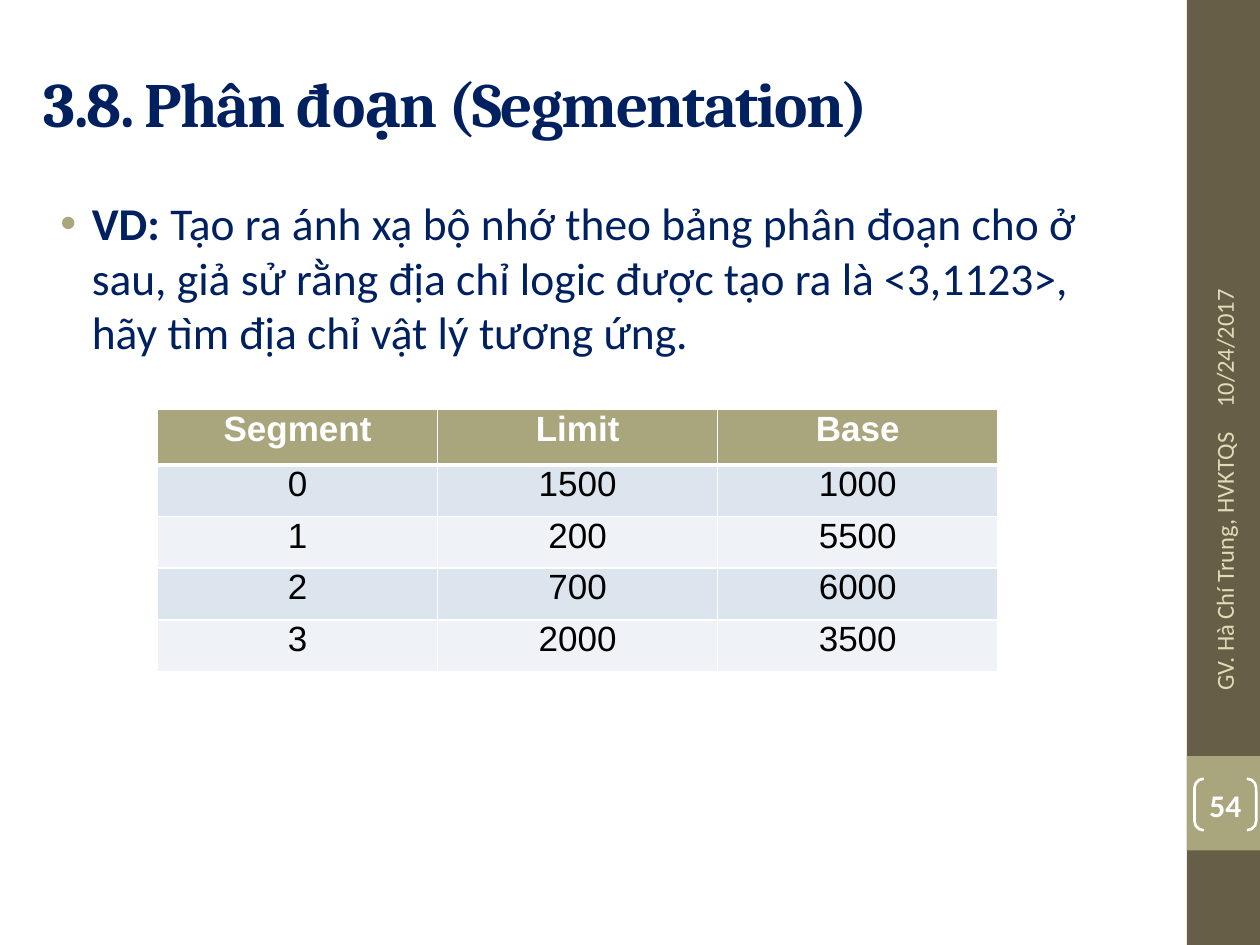
"""Build the slide on segmentation with its segment table."""
from lxml.etree import SubElement
from pptx import Presentation
from pptx.dml.color import RGBColor
from pptx.enum.shapes import MSO_SHAPE as Shape
from pptx.enum.text import MSO_ANCHOR as Anchor, PP_ALIGN as Align
from pptx.oxml import parse_xml
from pptx.oxml.ns import nsdecls, qn
from pptx.util import Inches, Pt

NAVY = RGBColor(0x00, 0x20, 0x60)
BROWN = RGBColor(0x67, 0x5E, 0x47)
OLIVE = RGBColor(0xA9, 0xA5, 0x7C)
CREAM = RGBColor(0xDF, 0xDC, 0xB7)
WHITE = RGBColor(0xFF, 0xFF, 0xFF)
BLACK = RGBColor(0x00, 0x00, 0x00)
BAND_DARK = RGBColor(0xDC, 0xE5, 0xEE)
BAND_LIGHT = RGBColor(0xEF, 0xF3, 0xF7)


def add_span(para, text, font="Calibri", size=14, color=NAVY, bold=False, align=Align.LEFT):
    para.alignment = align
    span = para.add_run()
    span.text = text
    span.font.name = font
    span.font.size = Pt(size)
    span.font.color.rgb = color
    span.font.bold = bold
    return span


deck = Presentation()
deck.slide_width = Inches(10)
deck.slide_height = Inches(7.5)
page = deck.slides.add_slide(deck.slide_layouts[6])

for top, height, color in [(0, 7.5, BROWN), (6, 0.75, OLIVE)]:
    band = page.shapes.add_shape(
        Shape.RECTANGLE, Inches(9.42), Inches(top), Inches(0.58), Inches(height))
    band.shadow.inherit = False
    band.fill.solid()
    band.fill.fore_color.rgb = color
    band.line.fill.background()

title = page.shapes.add_textbox(Inches(0.25), Inches(0.3), Inches(8.92), Inches(1.03))
title.text_frame.word_wrap = True
title.text_frame.vertical_anchor = Anchor.MIDDLE
span = add_span(title.text_frame.paragraphs[0], "3.8. Phân đoạn (Segmentation)",
                font="Cambria", size=36, bold=True)
span.font._element.set("spc", "-100")

body = page.shapes.add_textbox(Inches(0.25), Inches(1.5), Inches(8.92), Inches(5.83))
body.text_frame.word_wrap = True
para = body.text_frame.paragraphs[0]
props = para._p.get_or_add_pPr()
props.set("marL", str(Inches(0.38)))
props.set("indent", str(Inches(-0.25)))
bullet_color = SubElement(props, qn("a:buClr"))
SubElement(bullet_color, qn("a:srgbClr"), val=str(OLIVE))
SubElement(props, qn("a:buFont"), typeface="Arial")
SubElement(props, qn("a:buChar"), char="•")
add_span(para, "VD: ", size=26, bold=True)
add_span(para, "Tạo ra ánh xạ bộ nhớ theo bảng phân đoạn cho ở sau, giả sử rằng địa chỉ logic "
               "được tạo ra là <3,1123>, hãy tìm địa chỉ vật lý tương ứng.", size=26)

for text, left, top, width, align in [
    ("10/24/2017", 8.38, 1.8, 2.67, Align.LEFT),
    ("GV. Hà Chí Trung, HVKTQS", 8.42, 4.43, 2.59, Align.RIGHT),
]:
    box = page.shapes.add_textbox(Inches(left), Inches(top), Inches(width), Inches(0.4))
    box.rotation = 270
    box.text_frame.word_wrap = True
    box.text_frame.vertical_anchor = Anchor.MIDDLE
    add_span(box.text_frame.paragraphs[0], text, color=CREAM, align=align)

number = page.shapes.add_shape(
    Shape.DOUBLE_BRACKET, Inches(9.48), Inches(6.18), Inches(0.49), Inches(0.41))
number.shadow.inherit = False
number.adjustments[0] = 0.18
number.fill.background()
number.line.color.rgb = WHITE
number.line.width = Pt(1.5)
frame = number.text_frame
frame.margin_left = frame.margin_right = frame.margin_top = frame.margin_bottom = 0
frame.word_wrap = False
frame.vertical_anchor = Anchor.MIDDLE
add_span(frame.paragraphs[0], "54", size=18, color=WHITE, bold=True, align=Align.CENTER)

segments = [
    ("Segment", "Limit", "Base"),
    ("0", "1500", "1000"),
    ("1", "200", "5500"),
    ("2", "700", "6000"),
    ("3", "2000", "3500"),
]
table = page.shapes.add_table(
    len(segments), 3, Inches(1.25), Inches(3.25), Inches(6.67), Inches(2.07)).table
for row_index, values in enumerate(segments):
    header = row_index == 0
    table.rows[row_index].height = Inches(0.44 if header else 0.41)
    fill = OLIVE if header else BAND_DARK if row_index % 2 else BAND_LIGHT
    widths = {"L": 1, "R": 1, "T": 3 if row_index == 1 else 1, "B": 3 if header else 1}
    for column_index, value in enumerate(values):
        cell = table.cell(row_index, column_index)
        cell.margin_left = cell.margin_right = Inches(0.05)
        cell.margin_top = cell.margin_bottom = 0
        cell.fill.solid()
        cell.fill.fore_color.rgb = fill
        add_span(cell.text_frame.paragraphs[0], value, font="Arial", size=20,
                 color=WHITE if header else BLACK, bold=header, align=Align.CENTER)
        cell_props = cell._tc.get_or_add_tcPr()
        for position, (side, width) in enumerate(widths.items()):
            cell_props.insert(position, parse_xml(
                f'<a:ln{side} {nsdecls("a")} w="{Pt(width)}"><a:solidFill>'
                f'<a:srgbClr val="{WHITE}"/></a:solidFill></a:ln{side}>'))

deck.save("out.pptx")
